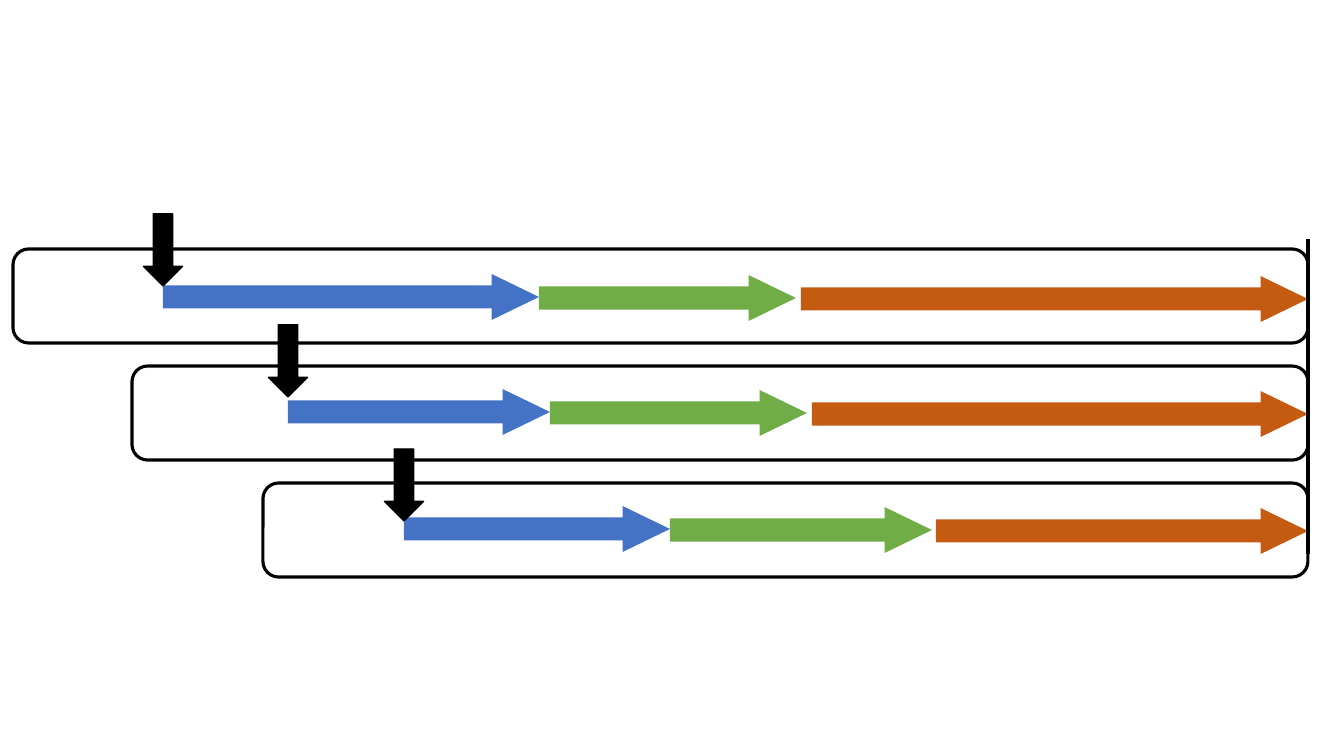
from pptx import Presentation
from pptx.dml.color import RGBColor
from pptx.enum.shapes import MSO_CONNECTOR, MSO_SHAPE as SHAPE
from pptx.oxml.ns import qn
from pptx.util import Emu, Pt
from lxml.etree import SubElement

COLORS = {
    "white": "FFFFFF",
    "black": "000000",
    "blue": "4472C4",
    "green": "70AD47",
    "orange": "C55A11",
}
EMU_PER_PIXEL = 914400 / 100.8
RIGHT_EDGE = 1308
LANE_HEIGHT = 94
LANE_STEP = 117
PHASE_HEIGHT = 46
MARKER_WIDTH, MARKER_HEIGHT = 39, 72


def px(length):
    return Emu(round(length * EMU_PER_PIXEL))


def rgb(name):
    return RGBColor.from_string(COLORS[name])


class TimelineSlide:
    def __init__(self, presentation):
        self.slide = presentation.slides.add_slide(presentation.slide_layouts[6])
        self.border_width = 2.25
        self.marker_border = 1
        self.head_ratio = 1.03

    def shape(self, kind, left, top, width, height, fill, line_width=0):
        shape = self.slide.shapes.add_shape(
            kind, px(left), px(top), px(width), px(height))
        shape.shadow.inherit = False
        shape.fill.solid()
        shape.fill.fore_color.rgb = rgb(fill)
        if line_width:
            shape.line.color.rgb = rgb("black")
            shape.line.width = Pt(line_width)
        else:
            shape.line.fill.background()
        return shape

    def lane(self, left, top):
        self.shape(SHAPE.FLOWCHART_ALTERNATE_PROCESS, left, top,
                   RIGHT_EDGE - left, LANE_HEIGHT, "white", self.border_width)

    def phase(self, start, end, top, color):
        arrow = self.shape(SHAPE.RIGHT_ARROW, start, top,
                           end - start, PHASE_HEIGHT, color)
        arrow.adjustments[1] = self.head_ratio

    def marker(self, center, top):
        self.shape(SHAPE.DOWN_ARROW, center - MARKER_WIDTH / 2, top,
                   MARKER_WIDTH, MARKER_HEIGHT, "black", self.marker_border)

    def vertical_line(self, x, top, bottom):
        line = self.slide.shapes.add_connector(
            MSO_CONNECTOR.STRAIGHT, px(x), px(top), px(x), px(bottom))
        line.line.color.rgb = rgb("black")
        line.line.width = Pt(self.border_width)
        SubElement(line._element.spPr, qn("a:effectLst"))


presentation = Presentation()
presentation.slide_width = px(1344)
presentation.slide_height = px(756)
timeline = TimelineSlide(presentation)

for index, lane_left in enumerate((13, 132, 263)):
    timeline.lane(lane_left, 249 + index * LANE_STEP)

phase_rows = [
    (274, [(163, 539), (539, 796), (801, RIGHT_EDGE)]),
    (389, [(288, 550), (550, 807), (812, RIGHT_EDGE)]),
    (506, [(404, 670), (670, 932), (936, RIGHT_EDGE)]),
]
for row_top, spans in phase_rows:
    for index, (color, span) in enumerate(zip(("blue", "green", "orange"), spans)):
        timeline.phase(*span, row_top + index, color)

for (row_top, spans), marker_top in zip(phase_rows, (214, 325, 449)):
    timeline.marker(spans[0][0], marker_top)

timeline.vertical_line(RIGHT_EDGE, 239, 554)

presentation.save("out.pptx")
